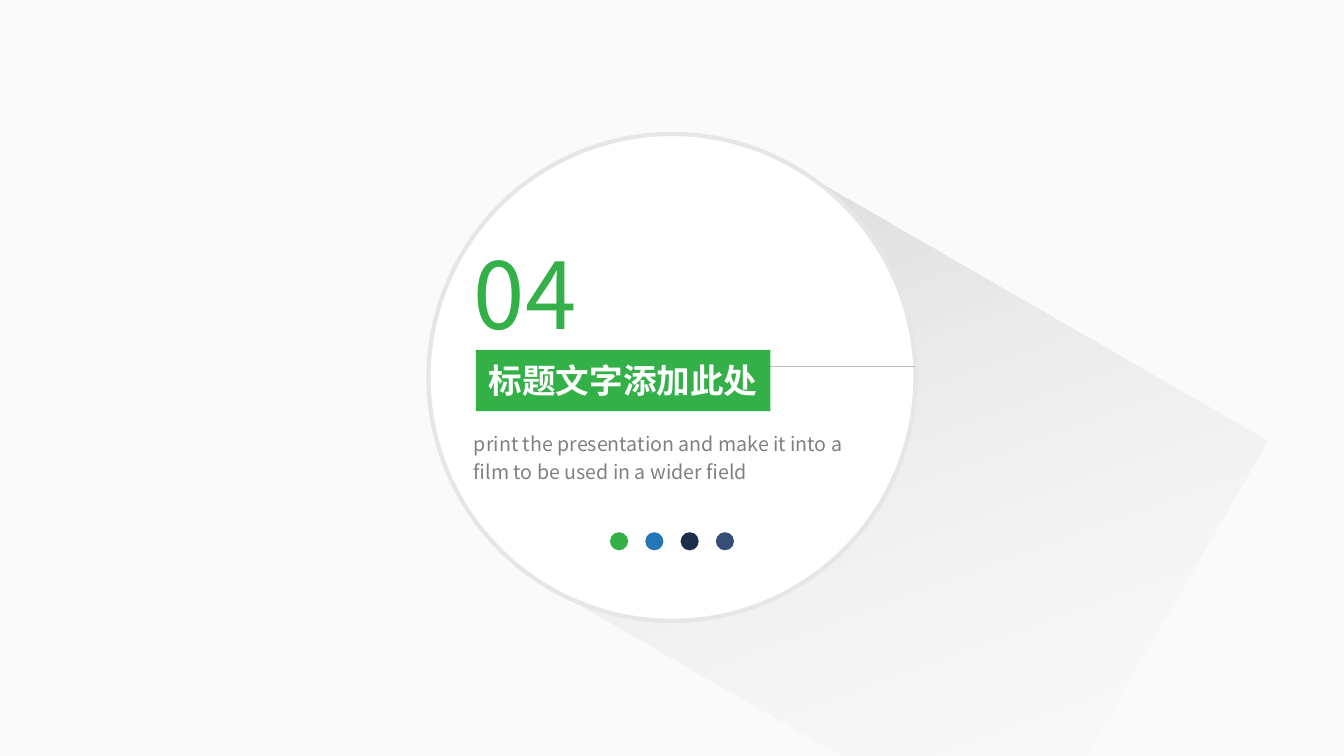
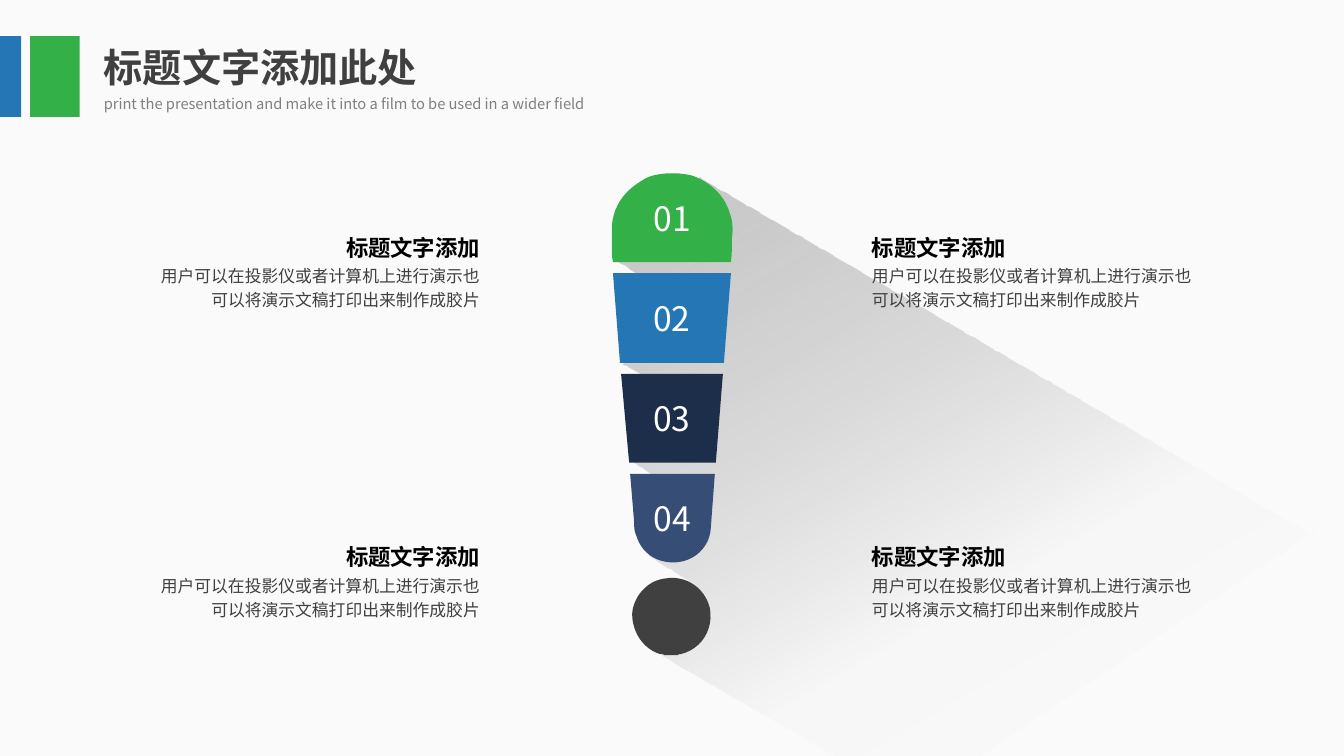
"""Build a section divider and an exclamation-mark diagram slide."""
from dataclasses import dataclass, replace

from lxml.etree import SubElement
from pptx import Presentation
from pptx.dml.color import RGBColor
from pptx.enum.shapes import MSO_CONNECTOR, MSO_SHAPE
from pptx.enum.text import MSO_ANCHOR, MSO_AUTO_SIZE, PP_ALIGN
from pptx.oxml import parse_xml
from pptx.oxml.ns import nsdecls, qn
from pptx.util import Inches, Pt

FONT = "Noto Sans CJK SC"
GREEN, BLUE, NAVY, INDIGO = ACCENTS = ("33B048", "2576B5", "1D2E4B", "364D76")
WHITE, BLACK, CHARCOAL, GRAY = "FFFFFF", "000000", "404040", "808080"
PALE, SILVER, RULE, BACKDROP = "F2F2F2", "E7E6E6", "BFBFBF", "FAFAFA"

TITLE = "标题文字添加此处"
SUBTITLE = "print the presentation and make it into a film to be used in a wider field"
POINT_HEADING = "标题文字添加"
POINT_DETAIL = "用户可以在投影仪或者计算机上进行演示也可以将演示文稿打印出来制作成胶片"


@dataclass(frozen=True)
class Box:
    """A rectangle in inches."""
    left: float
    top: float
    width: float
    height: float

    def lengths(self) -> tuple:
        return tuple(Inches(v) for v in (self.left, self.top, self.width, self.height))


@dataclass(frozen=True)
class TextStyle:
    """How one paragraph is set."""
    size: float
    color: str
    bold: bool = False
    align: PP_ALIGN = PP_ALIGN.LEFT
    spacing: float = 1.0


@dataclass(frozen=True)
class Stop:
    """A gradient stop, with position and opacity in percent."""
    position: int
    color: str
    opacity: int


@dataclass(frozen=True)
class Segment:
    """A piece of the exclamation mark; six-number steps are Bezier curves."""
    label: str
    color: str
    outline: tuple


NUMBER = TextStyle(24, WHITE, align=PP_ALIGN.CENTER)
HEADING = TextStyle(16, BLACK, bold=True, spacing=1.2)
DETAIL = TextStyle(12, CHARCOAL, spacing=1.2)

SEGMENTS = (
    Segment("01", GREEN, (
        (6.61, 1.72), (6.73, 1.72), (6.79, 1.73, 6.85, 1.73, 6.91, 1.76),
        (7.07, 1.83, 7.19, 1.95, 7.24, 2.12), (7.27, 2.2, 7.27, 2.28, 7.26, 2.36),
        (7.26, 2.44, 7.26, 2.52, 7.25, 2.6), (6.08, 2.6), (6.07, 2.54), (6.07, 2.23),
        (6.09, 2.03, 6.2, 1.89, 6.37, 1.79), (6.44, 1.74, 6.52, 1.73, 6.61, 1.72))),
    Segment("02", BLUE, ((6.08, 2.71), (7.25, 2.71), (7.18, 3.6), (6.15, 3.6))),
    Segment("03", NAVY, ((6.16, 3.71), (7.17, 3.71), (7.1, 4.59), (6.24, 4.59))),
    Segment("04", INDIGO, (
        (6.25, 4.7), (7.09, 4.7), (7.05, 5.24), (7.04, 5.43, 6.88, 5.58, 6.68, 5.58),
        (6.5, 5.58, 6.36, 5.48, 6.31, 5.31), (6.29, 5.27, 6.29, 5.22, 6.29, 5.18))),
    Segment("", CHARCOAL, (
        (6.59, 6.5), (6.58, 6.49, 6.57, 6.49, 6.55, 6.49),
        (6.38, 6.44, 6.27, 6.27, 6.27, 6.09), (6.28, 5.92, 6.42, 5.76, 6.59, 5.74),
        (6.8, 5.7, 6.99, 5.83, 7.04, 6.03), (7.08, 6.24, 6.96, 6.44, 6.75, 6.49),
        (6.74, 6.49, 6.73, 6.49, 6.72, 6.5))),
)
MARK_SHADOW = (
    (13.04, 5.32), (13.04, 5.25), (9.06, 7.94), (6.57, 6.5), (6.89, 5.79), (6.44, 5.51),
    (6.68, 4.85), (6.26, 4.56), (6.76, 3.93), (6.18, 3.61), (6.69, 2.96), (6.1, 2.57),
    (6.94, 1.76))


def rgb(color: str) -> RGBColor:
    """Turn a hex string into a colour."""
    return RGBColor.from_string(color)


def write(shape, text: str, style: TextStyle, anchor=MSO_ANCHOR.TOP) -> None:
    """Put one styled paragraph into a shape."""
    frame = shape.text_frame
    frame.text = text
    frame.word_wrap = True
    frame.vertical_anchor = anchor
    paragraph = frame.paragraphs[0]
    paragraph.alignment = style.align
    paragraph.line_spacing = style.spacing
    paragraph.space_before = Pt(0)
    for run in paragraph.runs:
        run.font.size = Pt(style.size)
        run.font.bold = style.bold
        run.font.name = FONT
        run.font.color.rgb = rgb(style.color)
        SubElement(run.font._element, qn("a:ea"), typeface=FONT)


def add_text(slide, box: Box, text: str, style: TextStyle) -> None:
    """Add a text box that grows with its text."""
    label = slide.shapes.add_textbox(*box.lengths())
    write(label, text, style)
    label.text_frame.auto_size = MSO_AUTO_SIZE.SHAPE_TO_FIT_TEXT


def fill_placeholder(placeholder, box: Box, text: str, style: TextStyle) -> None:
    """Place a template placeholder in front and fill it."""
    placeholder.left, placeholder.top, placeholder.width, placeholder.height = box.lengths()
    write(placeholder, text, style)
    placeholder.text_frame.auto_size = MSO_AUTO_SIZE.SHAPE_TO_FIT_TEXT
    tree = placeholder.element.getparent()
    tree.append(placeholder.element)


def paint(shape, color: str) -> None:
    """Give a shape a flat fill without outline or shadow."""
    shape.shadow.inherit = False
    shape.fill.solid()
    shape.fill.fore_color.rgb = rgb(color)
    shape.line.fill.background()


def paint_gradient(shape, angle: int, stops: tuple) -> None:
    """Give a shape a linear gradient with transparent stops."""
    paint(shape, PALE)
    stop_xml = "".join(
        f'<a:gs pos="{stop.position * 1000}"><a:srgbClr val="{stop.color}">'
        f'<a:alpha val="{stop.opacity * 1000}"/></a:srgbClr></a:gs>' for stop in stops)
    gradient = parse_xml(
        f'<a:gradFill {nsdecls("a")} rotWithShape="1"><a:gsLst>{stop_xml}</a:gsLst>'
        f'<a:lin ang="{angle * 60000}" scaled="0"/></a:gradFill>')
    properties = shape.element.spPr
    properties.replace(properties.find(qn("a:solidFill")), gradient)


def add_block(slide, kind: MSO_SHAPE, box: Box, color: str):
    """Add a flat preset shape."""
    block = slide.shapes.add_shape(kind, *box.lengths())
    paint(block, color)
    return block


def trace(outline: tuple, steps: int = 12) -> list:
    """Turn an outline of lines and Bezier curves into points."""
    points = [outline[0]]
    for piece in outline[1:]:
        if len(piece) == 2:
            points.append(piece)
            continue
        controls = (points[-1], piece[:2], piece[2:4], piece[4:])
        for step in range(1, steps + 1):
            t = step / steps
            weights = ((1 - t) ** 3, 3 * t * (1 - t) ** 2, 3 * t ** 2 * (1 - t), t ** 3)
            points.append(tuple(
                sum(w * point[axis] for w, point in zip(weights, controls))
                for axis in (0, 1)))
    return points


def add_outline(slide, outline: tuple):
    """Add a closed freeform."""
    start, *rest = [(Inches(x), Inches(y)) for x, y in trace(outline)]
    builder = slide.shapes.build_freeform(*start)
    builder.add_line_segments(rest, close=True)
    return builder.convert_to_shape()


def add_rule(slide, left: float, right: float, top: float) -> None:
    """Add a thin horizontal line."""
    rule = slide.shapes.add_connector(
        MSO_CONNECTOR.STRAIGHT, Inches(left), Inches(top), Inches(right), Inches(top))
    rule.line.color.rgb = rgb(RULE)
    rule.line.width = Pt(0.5)
    SubElement(rule.element.spPr, qn("a:effectLst"))


def build_section(slide) -> None:
    """Draw the section divider."""
    shadow = add_block(slide, MSO_SHAPE.RECTANGLE, Box(6.12, 2.65, 5.62, 4.82), PALE)
    shadow.rotation = 30
    paint_gradient(shadow, 40, (Stop(0, BLACK, 15), Stop(100, PALE, 0)))
    disc = add_block(slide, MSO_SHAPE.OVAL, Box(4.25, 1.33, 4.83, 4.83), WHITE)
    disc.line.color.rgb = rgb(SILVER)
    disc.line.width = Pt(3)
    add_rule(slide, 7.64, 9.08, 3.63)
    add_block(slide, MSO_SHAPE.RECTANGLE, Box(4.72, 3.47, 2.92, 0.61), GREEN)
    add_text(slide, Box(4.6, 2.3, 1.45, 1.21), "04", TextStyle(66, GREEN))
    for index, accent in enumerate(ACCENTS):
        add_block(slide, MSO_SHAPE.OVAL, Box(6.05 + 0.35 * index, 5.28, 0.18, 0.18), accent)
    title, subtitle = slide.placeholders
    fill_placeholder(title, Box(4.72, 3.52, 2.92, 0.5), TITLE,
                     TextStyle(24, WHITE, bold=True, align=PP_ALIGN.CENTER))
    fill_placeholder(subtitle, Box(4.6, 4.19, 4.08, 0.67), SUBTITLE,
                     TextStyle(14, GRAY, spacing=1.2))


def add_point(slide, left: float, top: float, align: PP_ALIGN) -> None:
    """Add a heading with its detail, aligned to one side of a column."""
    width, heading_width = 3.37, 2.24
    indent = width - heading_width if align == PP_ALIGN.RIGHT else 0
    add_text(slide, Box(left, top + 0.33, width, 0.59), POINT_DETAIL,
             replace(DETAIL, align=align))
    add_text(slide, Box(left + indent, top, heading_width, 0.4), POINT_HEADING,
             replace(HEADING, align=align))


def build_diagram(slide) -> None:
    """Draw the exclamation mark with four points around it."""
    paint_gradient(add_outline(slide, MARK_SHADOW), 60,
                   (Stop(0, BLACK, 20), Stop(61, PALE, 34), Stop(100, PALE, 0)))
    for segment in SEGMENTS:
        piece = add_outline(slide, segment.outline)
        paint(piece, segment.color)
        if segment.label:
            write(piece, segment.label, NUMBER, MSO_ANCHOR.MIDDLE)
    add_block(slide, MSO_SHAPE.RECTANGLE, Box(0.3, 0.36, 0.49, 0.8), GREEN)
    add_block(slide, MSO_SHAPE.RECTANGLE, Box(0, 0.36, 0.21, 0.8), BLUE)
    for left, align in ((8.55, PP_ALIGN.JUSTIFY), (1.49, PP_ALIGN.RIGHT)):
        for top in (2.22, 5.29):
            add_point(slide, left, top, align)
    title, subtitle = slide.placeholders
    fill_placeholder(title, Box(0.93, 0.38, 3.6, 0.57), TITLE,
                     TextStyle(28, CHARCOAL, bold=True))
    fill_placeholder(subtitle, Box(0.93, 0.86, 5.34, 0.3), SUBTITLE,
                     TextStyle(10.5, GRAY, spacing=1.2))


def main() -> None:
    """Build and save the presentation."""
    deck = Presentation()
    deck.slide_width, deck.slide_height = Inches(13.33), Inches(7.5)
    backdrop = deck.slide_master.background.fill
    backdrop.solid()
    backdrop.fore_color.rgb = rgb(BACKDROP)
    title_and_text = deck.slide_layouts.get_by_name("Section Header")
    for build in (build_section, build_diagram):
        build(deck.slides.add_slide(title_and_text))
    deck.save("out.pptx")


if __name__ == "__main__":
    main()
